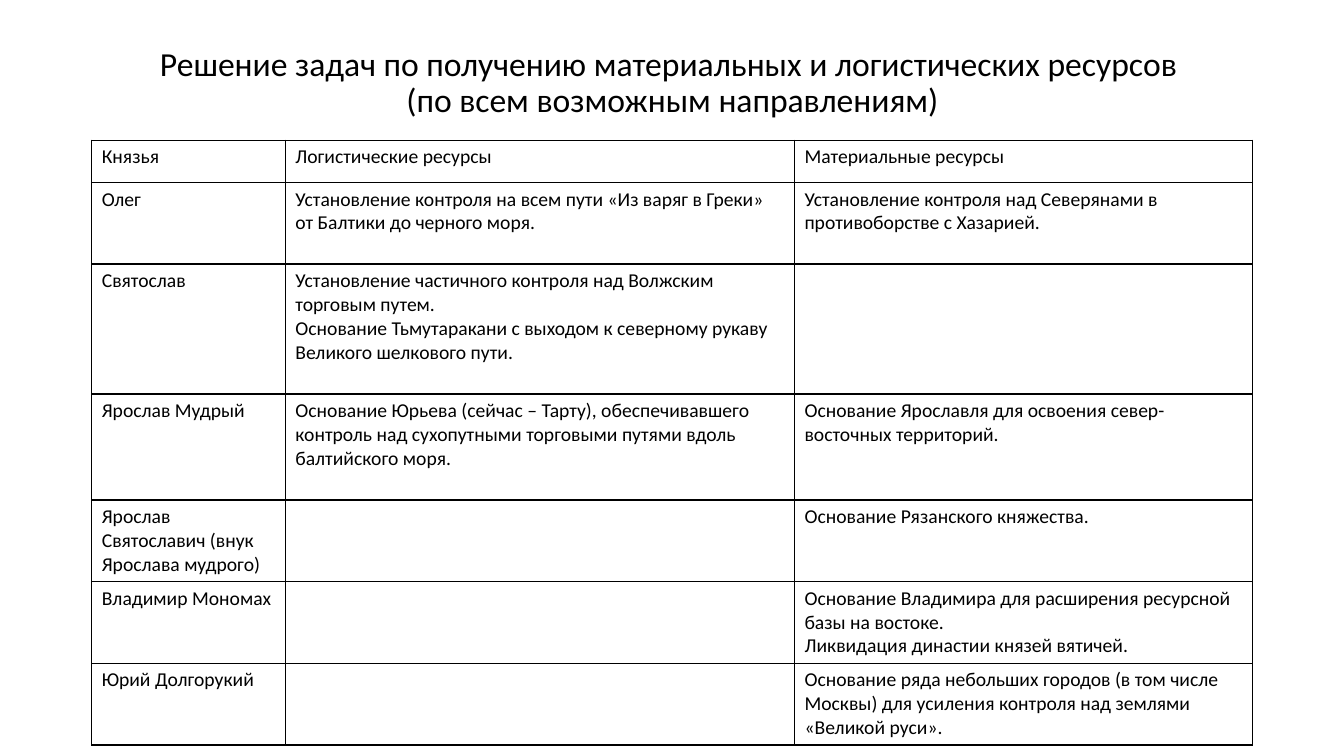
from dataclasses import dataclass

from lxml import etree
from pptx import Presentation
from pptx.dml.color import RGBColor
from pptx.enum.text import MSO_ANCHOR, MSO_AUTO_SIZE, PP_ALIGN
from pptx.oxml.ns import qn
from pptx.util import Inches, Pt

MIDDLE = MSO_ANCHOR.MIDDLE
NO_FIT = MSO_AUTO_SIZE.NONE
CENTER = PP_ALIGN.CENTER
TITLE_ONLY = 5


@dataclass(frozen=True)
class Theme:
    font: str = "Calibri"
    ink: str = "000000"
    paper: str = "FFFFFF"
    title: int = 24
    body: int = 14
    rule: int = 1


THEME = Theme()

# Page and grid, in inches
WIDE, HIGH = 13.33, 7.5
LEFT, TOP = 0.91, 1.39
COLS = (1.92, 5.05, 4.54)
HEAD = 0.42
LINE, PAD = 0.24, 0.09

TITLE = (
    "Решение задач по получению материальных и логистических ресурсов ",
    "(по всем возможным направлениям)",
)
HEADS = ("Князья", "Логистические ресурсы", "Материальные ресурсы")

# Height in text lines, prince, logistic paragraphs, material paragraphs
PRINCES = (
    (3, "Олег",
     ["Установление контроля на всем пути «Из варяг в Греки» от Балтики до черного моря."],
     ["Установление контроля над Северянами в противоборстве с Хазарией."]),
    (5, "Святослав",
     ["Установление частичного контроля над Волжским торговым путем.",
      "Основание Тьмутаракани с выходом к северному рукаву Великого шелкового пути."],
     []),
    (4, "Ярослав Мудрый",
     ["Основание Юрьева (сейчас – Тарту), обеспечивавшего контроль над сухопутными "
      "торговыми путями вдоль балтийского моря."],
     ["Основание Ярославля для освоения север-восточных территорий."]),
    (3, "Ярослав Святославич (внук Ярослава мудрого)",
     [],
     ["Основание Рязанского княжества."]),
    (3, "Владимир Мономах",
     [],
     ["Основание Владимира для расширения ресурсной базы на востоке.",
      "Ликвидация династии князей вятичей."]),
    (3, "Юрий Долгорукий",
     [],
     ["Основание ряда небольших городов (в том числе Москвы) для усиления контроля "
      "над землями «Великой руси»."]),
)


def style(font, size):
    font.name = THEME.font
    font.size = Pt(size)
    font.bold = False
    font.color.rgb = RGBColor.from_string(THEME.ink)


def add_run(para, text, size):
    run = para.add_run()
    run.text = text
    style(run.font, size)


def add_title(slide):
    box = slide.shapes.title
    box.left, box.top = Inches(0.92), Inches(0.4)
    box.width, box.height = Inches(11.5), Inches(0.86)
    frame = box.text_frame
    frame.auto_size = NO_FIT
    frame.vertical_anchor = MIDDLE
    para = frame.paragraphs[0]
    para.alignment = CENTER
    para.line_spacing = 0.9
    first, second = TITLE
    add_run(para, first, THEME.title)
    para.add_line_break()
    add_run(para, second, THEME.title)


def add_rules(cell):
    """Draw all four borders; they must come before the cell's fill."""
    props = cell._tc.get_or_add_tcPr()
    for pos, side in enumerate(("a:lnL", "a:lnR", "a:lnT", "a:lnB")):
        line = etree.Element(qn(side), w=str(Pt(THEME.rule)))
        fill = etree.SubElement(line, qn("a:solidFill"))
        etree.SubElement(fill, qn("a:srgbClr"), val=THEME.ink)
        props.insert(pos, line)


def fill_cell(cell, texts):
    cell.fill.solid()
    cell.fill.fore_color.rgb = RGBColor.from_string(THEME.paper)
    add_rules(cell)
    frame = cell.text_frame
    if not texts:
        style(frame.paragraphs[0].font, THEME.body)
    for i, text in enumerate(texts):
        para = frame.add_paragraph() if i else frame.paragraphs[0]
        add_run(para, text, THEME.body)


def add_grid(slide):
    rows = [[[head] for head in HEADS]]
    rows += [[[name], routes, goods] for _, name, routes, goods in PRINCES]
    highs = [HEAD] + [PAD + LINE * prince[0] for prince in PRINCES]
    table = slide.shapes.add_table(
        len(rows), len(COLS), Inches(LEFT), Inches(TOP),
        Inches(sum(COLS)), Inches(sum(highs))).table
    table.first_row = table.horz_banding = False
    for col, wide in zip(table.columns, COLS):
        col.width = Inches(wide)
    for row, high, texts in zip(table.rows, highs, rows):
        row.height = Inches(high)
        for cell, paras in zip(row.cells, texts):
            fill_cell(cell, paras)


def main():
    deck = Presentation()
    deck.slide_width, deck.slide_height = Inches(WIDE), Inches(HIGH)
    slide = deck.slides.add_slide(deck.slide_layouts[TITLE_ONLY])
    add_title(slide)
    add_grid(slide)
    deck.save("out.pptx")


if __name__ == "__main__":
    main()
